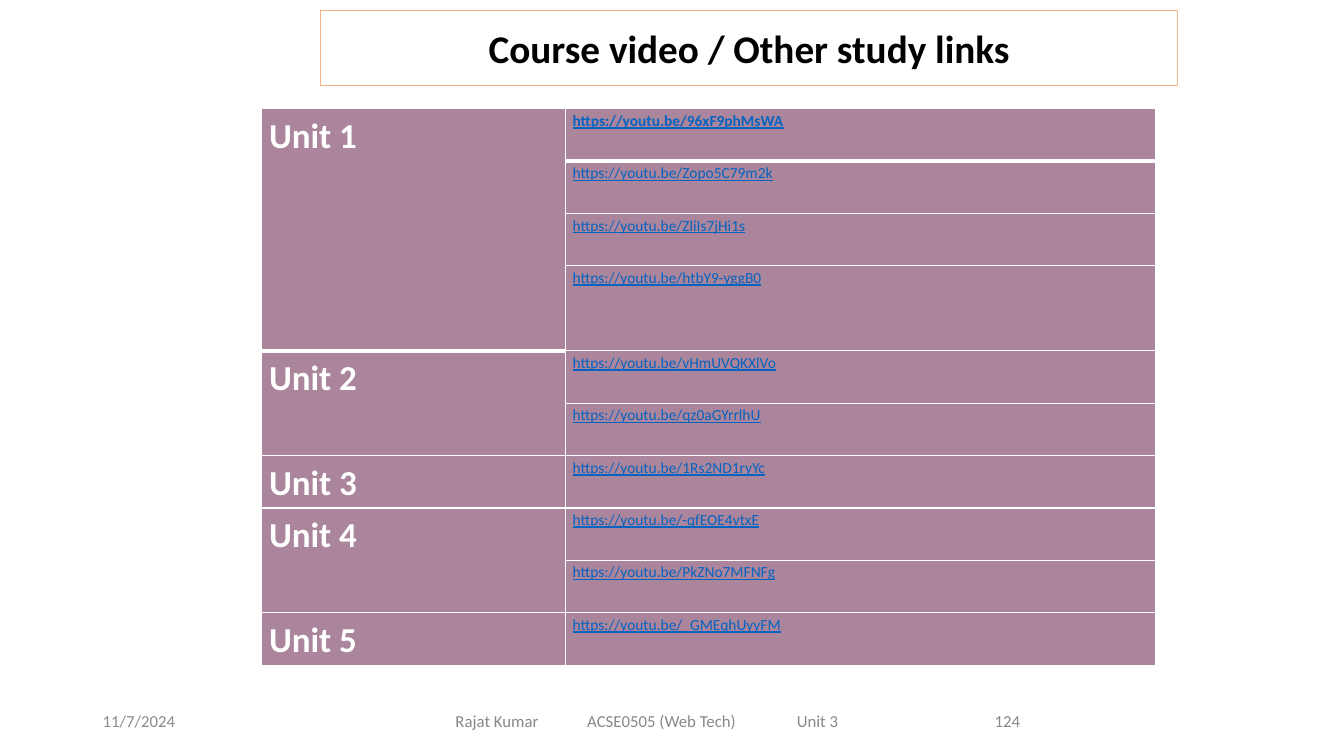
from lxml.etree import SubElement as Sub
from pptx import Presentation
from pptx.dml.color import RGBColor
from pptx.enum.text import MSO_ANCHOR as Anchor, MSO_AUTO_SIZE as Auto, PP_ALIGN as Align
from pptx.oxml.ns import qn
from pptx.util import Cm, Pt

TITLE = "Course video / Other study links"
UNITS = [
    ("Unit 1", ["96xF9phMsWA", "Zopo5C79m2k", "ZliIs7jHi1s", "htbY9-yggB0"]),
    ("Unit 2", ["vHmUVQKXlVo", "qz0aGYrrlhU"]),
    ("Unit 3", ["1Rs2ND1ryYc"]),
    ("Unit 4", ["-qfEOE4vtxE", "PkZNo7MFNFg"]),
    ("Unit 5", ["_GMEqhUyyFM"]),
]
SITE = "https://youtu.be/"

WHITE = RGBColor(0xFF, 0xFF, 0xFF)
BLACK = RGBColor(0, 0, 0)
MAUVE = RGBColor(0xAB, 0x85, 0x9B)
BLUE = RGBColor(0x05, 0x63, 0xC1)
PEACH = RGBColor(0xF4, 0xB1, 0x83)
GRAY = RGBColor(0x88, 0x88, 0x88)
SILVER = RGBColor(0x8C, 0x8C, 0x8C)

FOOTER = [
    ("Rajat Kumar\tACSE0505 (Web Tech)\tUnit 3", 11.23, 13.97, GRAY, Align.LEFT, (3.32, 8.6)),
    ("124", 22.43, 5.92, GRAY, Align.CENTER, ()),
    ("11/7/2024", 2.34, 7.62, SILVER, Align.LEFT, ()),
]
FOOT_TOP, FOOT_HIGH = 17.65, 1.02
COLS = (7.65, 14.86)
ROW, TALL = 1.32, 2.14
HEAD = {"size": Pt(28), "bold": True, "color": BLACK}
UNIT = {"size": Pt(25), "bold": True, "color": WHITE}
LINK = {"size": Pt(11), "bold": False, "underline": True, "color": BLUE}


def style(font, form):
    """Apply a dict of format values to a font."""
    font.name = "Calibri"
    for key, val in form.items():
        if key == "color":
            font.color.rgb = val
        else:
            setattr(font, key, val)


def edge(cell, base):
    """Draw the white borders of a cell, with the bottom one of given width."""
    props = cell._tc.get_or_add_tcPr()
    for side, wide in zip("LRTB", (1, 1, 1, base)):
        line = Sub(props, qn(f"a:ln{side}"), w=str(Pt(wide)))
        Sub(Sub(line, qn("a:solidFill")), qn("a:srgbClr"), val=str(WHITE))


def write(cell, text, form):
    """Put one formatted line of text in a table cell."""
    cell.text = text
    para = cell.text_frame.paragraphs[0]
    para.line_spacing = 1.15
    para.space_after = Pt(10)
    style(para.runs[0].font, form)


def add_head(slide):
    """Place the framed title."""
    head = slide.shapes.title
    head.left, head.top, head.width, head.height = Cm(8.08), Cm(0.25), Cm(21.59), Cm(1.91)
    head.line.color.rgb = PEACH
    head.line.width = Pt(0.5)
    frame = head.text_frame
    frame.text = TITLE
    frame.auto_size = Auto.NONE
    frame.vertical_anchor = Anchor.MIDDLE
    para = frame.paragraphs[0]
    para.alignment = Align.CENTER
    style(para.runs[0].font, HEAD)


def add_links(slide):
    """Build the table of units and their links."""
    count = sum(len(links) for _, links in UNITS)
    table = slide.shapes.add_table(
        count, 2, Cm(6.6), Cm(2.74), Cm(sum(COLS)), Cm(ROW * count)).table
    for col, wide in zip(table.columns, COLS):
        col.width = Cm(wide)
    for row in table.rows:
        row.height = Cm(ROW)
    first = len(UNITS[0][1])
    table.rows[first - 1].height = Cm(TALL)
    for row in range(count):
        for col in range(2):
            cell = table.cell(row, col)
            thick = row == 0 or (col == 0 and row == first - 1)
            edge(cell, 3 if thick else 1)
            cell.fill.solid()
            cell.fill.fore_color.rgb = MAUVE
            cell.margin_left = cell.margin_right = Cm(0.18)
            cell.margin_top = cell.margin_bottom = 0
    row = 0
    for name, links in UNITS:
        unit = table.cell(row, 0)
        if len(links) > 1:
            unit.merge(table.cell(row + len(links) - 1, 0))
        write(unit, name, UNIT)
        for link in links:
            write(table.cell(row, 1), SITE + link, LINK | {"bold": row == 0})
            row += 1


def add_foot(slide):
    """Add the three footer texts."""
    for text, left, wide, color, align, tabs in FOOTER:
        box = slide.shapes.add_textbox(Cm(left), Cm(FOOT_TOP), Cm(wide), Cm(FOOT_HIGH))
        frame = box.text_frame
        frame.word_wrap = True
        frame.vertical_anchor = Anchor.MIDDLE
        para = frame.paragraphs[0]
        para.text = text
        para.alignment = align
        if tabs:
            stops = Sub(para._p.get_or_add_pPr(), qn("a:tabLst"))
            for pos in tabs:
                Sub(stops, qn("a:tab"), pos=str(Cm(pos)), algn="l")
        for run in para.runs:
            style(run.font, {"size": Pt(12), "color": color})


def main():
    """Build and save the slide."""
    deck = Presentation()
    deck.slide_width, deck.slide_height = Cm(33.87), Cm(19.05)
    slide = deck.slides.add_slide(deck.slide_layouts[5])
    add_head(slide)
    add_links(slide)
    add_foot(slide)
    deck.save("out.pptx")


if __name__ == "__main__":
    main()
